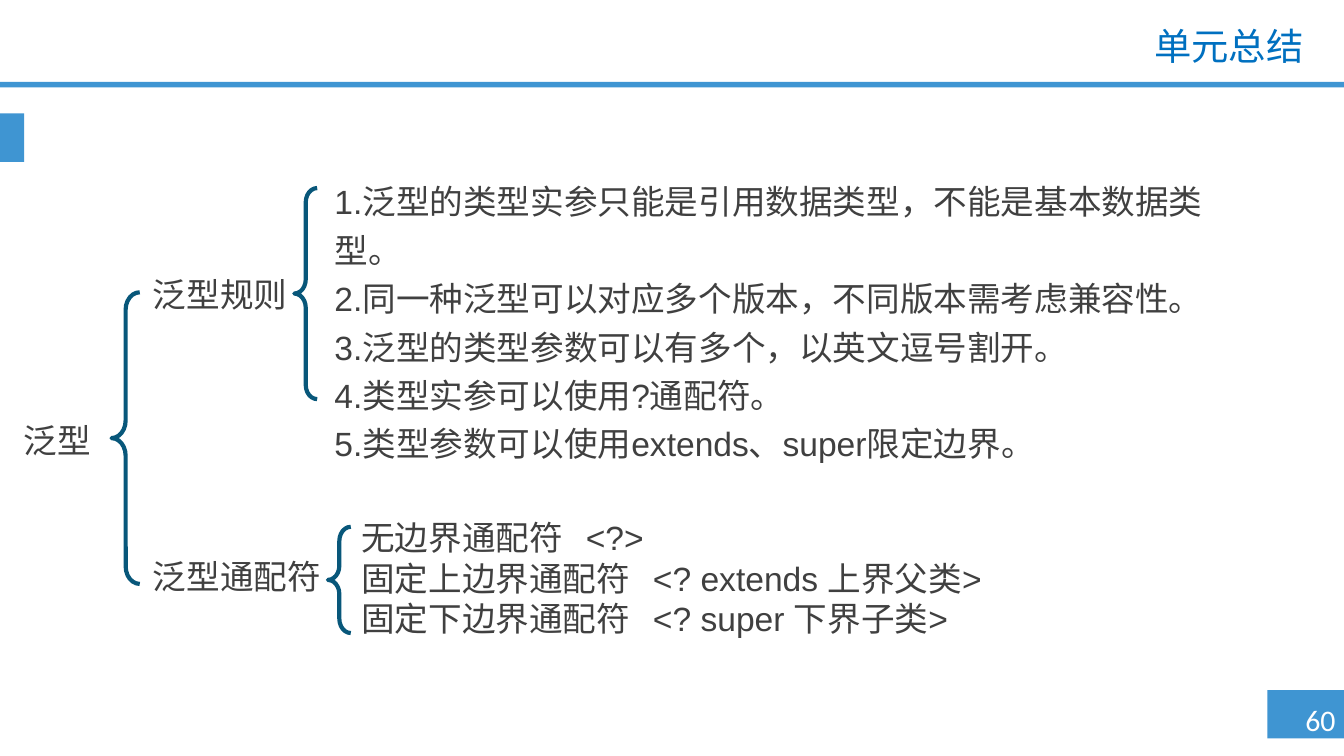
from lxml import etree
from pptx import Presentation
from pptx.dml.color import RGBColor
from pptx.enum.shapes import MSO_SHAPE
from pptx.enum.text import MSO_ANCHOR, PP_ALIGN
from pptx.oxml.ns import qn
from pptx.util import Pt

RECT, BRACE = MSO_SHAPE.RECTANGLE, MSO_SHAPE.LEFT_BRACE
LEFT, CENTER, RIGHT = PP_ALIGN.LEFT, PP_ALIGN.CENTER, PP_ALIGN.RIGHT
MIDDLE = MSO_ANCHOR.MIDDLE
PX = 4572  # 200 px to the inch
TITLE_ONLY = 5


def emu(*lengths):
    return [n * PX for n in lengths]


def rgb(value):
    return RGBColor.from_string(value)


def write(tf, lines, size=18, font="Arial", color="404040", align=LEFT,
          spacing=None, tabs=()):
    """Fill a text frame, one paragraph a line, with an optional tab stop each."""
    for i, text in enumerate(lines):
        p = tf.paragraphs[0] if i == 0 else tf.add_paragraph()
        p.alignment = align
        if spacing:
            p.line_spacing = spacing
        if tabs:
            tab_list = etree.SubElement(p._p.get_or_add_pPr(), qn("a:tabLst"))
            etree.SubElement(tab_list, qn("a:tab"), pos=str(tabs[i] * PX), algn="l")
        r = p.add_run()
        r.text = text
        r.font.size, r.font.name = Pt(size), font
        r.font.color.rgb = rgb(color)


class Deck:
    accent, brace_color, title_color = "3F95D2", "08577A", "0070C0"

    def __init__(self, width, height):
        self.prs = Presentation()
        self.prs.slide_width, self.prs.slide_height = emu(width, height)

    def new_slide(self):
        self.s = self.prs.slides.add_slide(self.prs.slide_layouts[TITLE_ONLY])

    def title(self, text, x, y, w, h):
        sp = self.s.shapes.title
        sp.left, sp.top, sp.width, sp.height = emu(x, y, w, h)
        sp.text_frame.vertical_anchor = MIDDLE
        write(sp.text_frame, [text], size=20, font="Calibri",
              color=self.title_color, align=RIGHT, spacing=0.9)

    def bar(self, x, y, w, h):
        sp = self.s.shapes.add_shape(RECT, *emu(x, y, w, h))
        sp.shadow.inherit = False
        sp.fill.solid()
        sp.fill.fore_color.rgb = rgb(self.accent)
        sp.line.fill.background()

    def brace(self, x, y, w, h):
        sp = self.s.shapes.add_shape(BRACE, *emu(x, y, w, h))
        sp.shadow.inherit = False
        sp.adjustments[0] = 0.62
        sp.fill.background()
        sp.line.color.rgb = rgb(self.brace_color)
        sp.line.width = Pt(2.25)

    def text(self, lines, x, y, w, h, wrap=True, right_inset=20, **style):
        tf = self.s.shapes.add_textbox(*emu(x, y, w, h)).text_frame
        tf.word_wrap = wrap
        tf.margin_right = right_inset * PX
        write(tf, lines, **style)


def main():
    deck = Deck(2000, 1125)
    deck.new_slide()

    # Page frame: header rule, side tab, page number
    deck.bar(1886, 1027, 114, 72)
    deck.bar(0, 122, 2000, 8)
    deck.bar(0, 169, 36, 72)
    deck.text(["60"], 1913, 1035, 104, 74, wrap=False, size=16, font="Calibri",
              color="FFFFFF", align=CENTER)
    deck.title("单元总结", 480, 32, 1480, 80)

    # Root of the tree and its two branches
    deck.text(["泛型"], -5, 615, 180, 80, align=CENTER)
    deck.brace(166, 435, 42, 434)
    deck.text(["泛型规则"], 208, 398, 260, 80)
    deck.text(["泛型通配符"], 208, 818, 300, 80)

    # Rules
    deck.brace(438, 280, 34, 314)
    rules = [
        "泛型的类型实参只能是引用数据类型，不能是基本数据类型。",
        "同一种泛型可以对应多个版本，不同版本需考虑兼容性。",
        "泛型的类型参数可以有多个，以英文逗号割开。",
        "类型实参可以使用?通配符。",
        "类型参数可以使用extends、super限定边界。",
    ]
    deck.text([f"{n}.{rule}" for n, rule in enumerate(rules, 1)],
              478, 248, 1436, 384, right_inset=88, spacing=1.2)

    # Wildcards
    deck.brace(488, 784, 34, 158)
    wildcards = [
        "无边界通配符\t<?>",
        "固定上边界通配符\t<? extends 上界父类>",
        "固定下边界通配符\t<? super 下界子类>",
    ]
    deck.text(wildcards, 518, 760, 1040, 202, tabs=(334, 434, 434))

    deck.prs.save("out.pptx")


if __name__ == "__main__":
    main()
